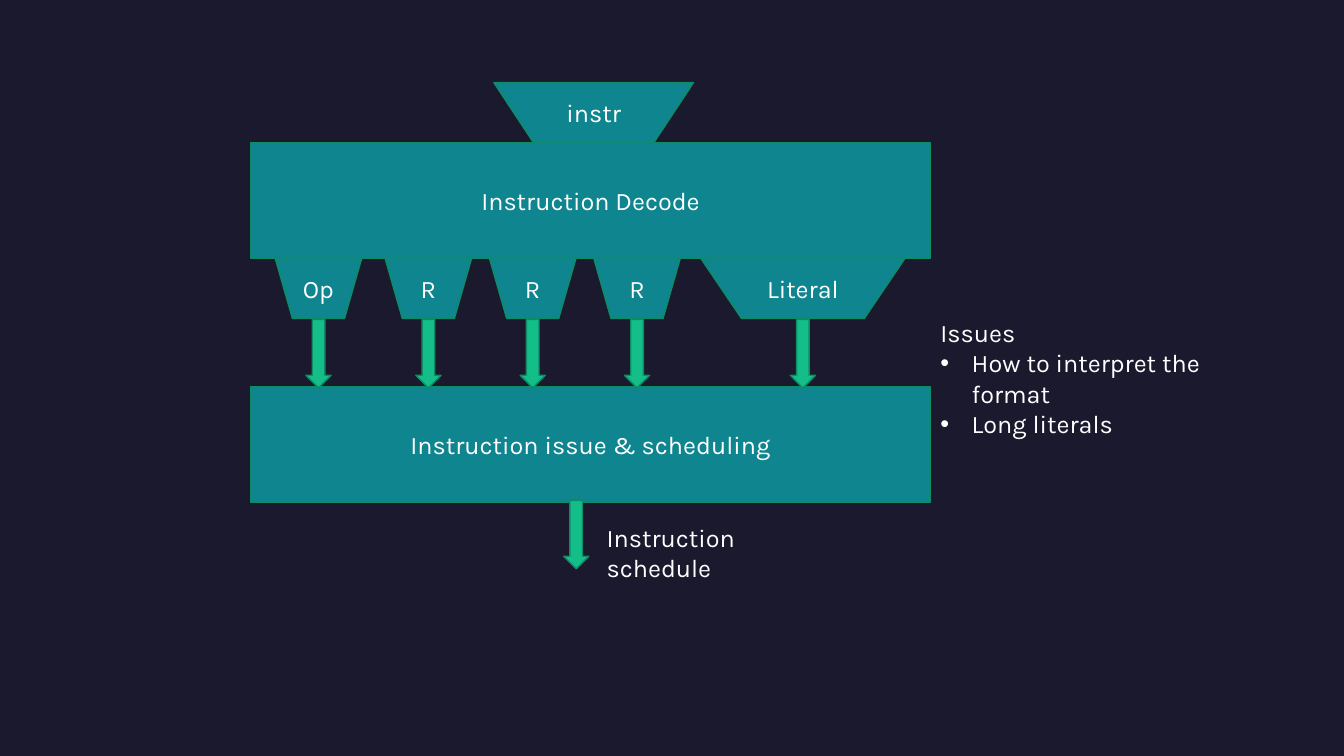
from dataclasses import dataclass

from lxml.etree import SubElement
from pptx import Presentation
from pptx.dml.color import RGBColor
from pptx.enum.shapes import MSO_SHAPE
from pptx.enum.text import MSO_ANCHOR, MSO_AUTO_SIZE, PP_ALIGN
from pptx.oxml.ns import qn
from pptx.shapes.autoshape import Shape
from pptx.slide import Slide
from pptx.text.text import TextFrame
from pptx.util import Inches, Pt


@dataclass(frozen=True)
class Theme:
    background: RGBColor = RGBColor(0x1B, 0x19, 0x2E)
    block: RGBColor = RGBColor(0x0E, 0x85, 0x8F)
    arrow: RGBColor = RGBColor(0x13, 0xBE, 0x89)
    outline: RGBColor = RGBColor(0x0E, 0x8D, 0x65)
    text: RGBColor = RGBColor(0xFF, 0xFF, 0xFF)
    font: str = "Karla"
    text_size: int = 18
    outline_width: int = 1


@dataclass(frozen=True)
class Area:
    column: float
    row: float
    columns: float
    rows: float

    @property
    def center(self) -> float:
        return self.column + self.columns / 2

    @property
    def bottom(self) -> float:
        return self.row + self.rows


@dataclass(frozen=True)
class Block:
    text: str
    area: Area
    kind: MSO_SHAPE = MSO_SHAPE.RECTANGLE


THEME = Theme()
SLIDE_WIDTH, SLIDE_HEIGHT = Inches(13.33), Inches(7.5)
GRID_COLUMNS, GRID_ROWS = 160, 90
FUNNEL = MSO_SHAPE.FLOWCHART_MANUAL_OPERATION
FUNNEL_ROWS = 7.2
FIELD_COLUMNS = 10.32
REGISTER_START, REGISTER_STEP = 45.84, 12.42
ARROW_COLUMNS, ARROW_ROWS = 3, 8.16
BULLET_INDENT = Inches(0.31)

DECODE = Block("Instruction Decode", Area(29.8, 17.04, 81, 13.68))
SCHEDULING = Block("Instruction issue & scheduling", Area(29.8, 46.08, 81, 13.68))
INPUT = Block(
    "instr", Area(58.8, DECODE.area.row - FUNNEL_ROWS, 23.76, FUNNEL_ROWS), FUNNEL
)
FIELD_SPANS = [
    ("Op", 32.76, FIELD_COLUMNS),
    *(("R", REGISTER_START + index * REGISTER_STEP, FIELD_COLUMNS) for index in range(3)),
    ("Literal", 83.4, 24.36),
]
FIELDS = [
    Block(name, Area(column, DECODE.area.bottom, columns, FUNNEL_ROWS), FUNNEL)
    for name, column, columns in FIELD_SPANS
]
SCHEDULE_CENTER = 68.6
SCHEDULE_LABEL = Area(71.04, 61.56, 28.32, 4.8)
ISSUES_AREA = Area(110.76, 37.2, 41.16, 15.72)
ISSUES = ["How to interpret the format", "Long literals"]


def bounds(area: Area) -> tuple[int, int, int, int]:
    column_width = SLIDE_WIDTH / GRID_COLUMNS
    row_height = SLIDE_HEIGHT / GRID_ROWS
    return (
        round(area.column * column_width),
        round(area.row * row_height),
        round(area.columns * column_width),
        round(area.rows * row_height),
    )


def format_text(frame: TextFrame, alignment: PP_ALIGN) -> None:
    frame.word_wrap = True
    frame.auto_size = MSO_AUTO_SIZE.NONE
    for paragraph in frame.paragraphs:
        paragraph.alignment = alignment
        paragraph.line_spacing = 1.0
        paragraph.space_before = paragraph.space_after = Pt(0)
        for span in paragraph.runs:
            span.font.name = THEME.font
            span.font.size = Pt(THEME.text_size)
            span.font.color.rgb = THEME.text


def add_filled_shape(page: Slide, kind: MSO_SHAPE, area: Area, fill: RGBColor) -> Shape:
    shape = page.shapes.add_shape(kind, *bounds(area))
    shape.shadow.inherit = False
    shape.fill.solid()
    shape.fill.fore_color.rgb = fill
    shape.line.color.rgb = THEME.outline
    shape.line.width = Pt(THEME.outline_width)
    return shape


def add_block(page: Slide, block: Block) -> None:
    shape = add_filled_shape(page, block.kind, block.area, THEME.block)
    frame = shape.text_frame
    frame.text = block.text
    frame.margin_left = frame.margin_right = 0
    frame.vertical_anchor = MSO_ANCHOR.MIDDLE
    format_text(frame, PP_ALIGN.CENTER)


def add_arrow(page: Slide, center: float, row: float) -> None:
    area = Area(center - ARROW_COLUMNS / 2, row, ARROW_COLUMNS, ARROW_ROWS)
    add_filled_shape(page, MSO_SHAPE.DOWN_ARROW, area, THEME.arrow)


def fill_issues(page: Slide) -> None:
    body = page.placeholders[1]
    body.left, body.top, body.width, body.height = bounds(ISSUES_AREA)
    frame = body.text_frame
    frame.text = "\n".join(["Issues", *ISSUES])
    frame.vertical_anchor = MSO_ANCHOR.TOP
    format_text(frame, PP_ALIGN.LEFT)
    for index, paragraph in enumerate(frame.paragraphs):
        indent = BULLET_INDENT if index else 0
        properties = paragraph._p.get_or_add_pPr()
        properties.set("marL", str(indent))
        properties.set("indent", str(-indent))
        if index:
            SubElement(properties, qn("a:buFont"), typeface="Arial")
            SubElement(properties, qn("a:buChar"), char="•")
        else:
            SubElement(properties, qn("a:buNone"))


def add_schedule_label(page: Slide) -> None:
    box = page.shapes.add_textbox(*bounds(SCHEDULE_LABEL))
    box.text_frame.text = "Instruction schedule"
    format_text(box.text_frame, PP_ALIGN.LEFT)


def build() -> None:
    deck = Presentation()
    deck.slide_width, deck.slide_height = SLIDE_WIDTH, SLIDE_HEIGHT
    page = deck.slides.add_slide(deck.slide_layouts[1])
    page.background.fill.solid()
    page.background.fill.fore_color.rgb = THEME.background
    title = page.shapes.title.element
    title.getparent().remove(title)

    fill_issues(page)
    for block in [DECODE, INPUT, *FIELDS, SCHEDULING]:
        add_block(page, block)
    for field in FIELDS:
        add_arrow(page, field.area.center, field.area.bottom + 0.1)
    add_arrow(page, SCHEDULE_CENTER, SCHEDULING.area.bottom - 0.2)
    add_schedule_label(page)
    deck.save("out.pptx")


build()
